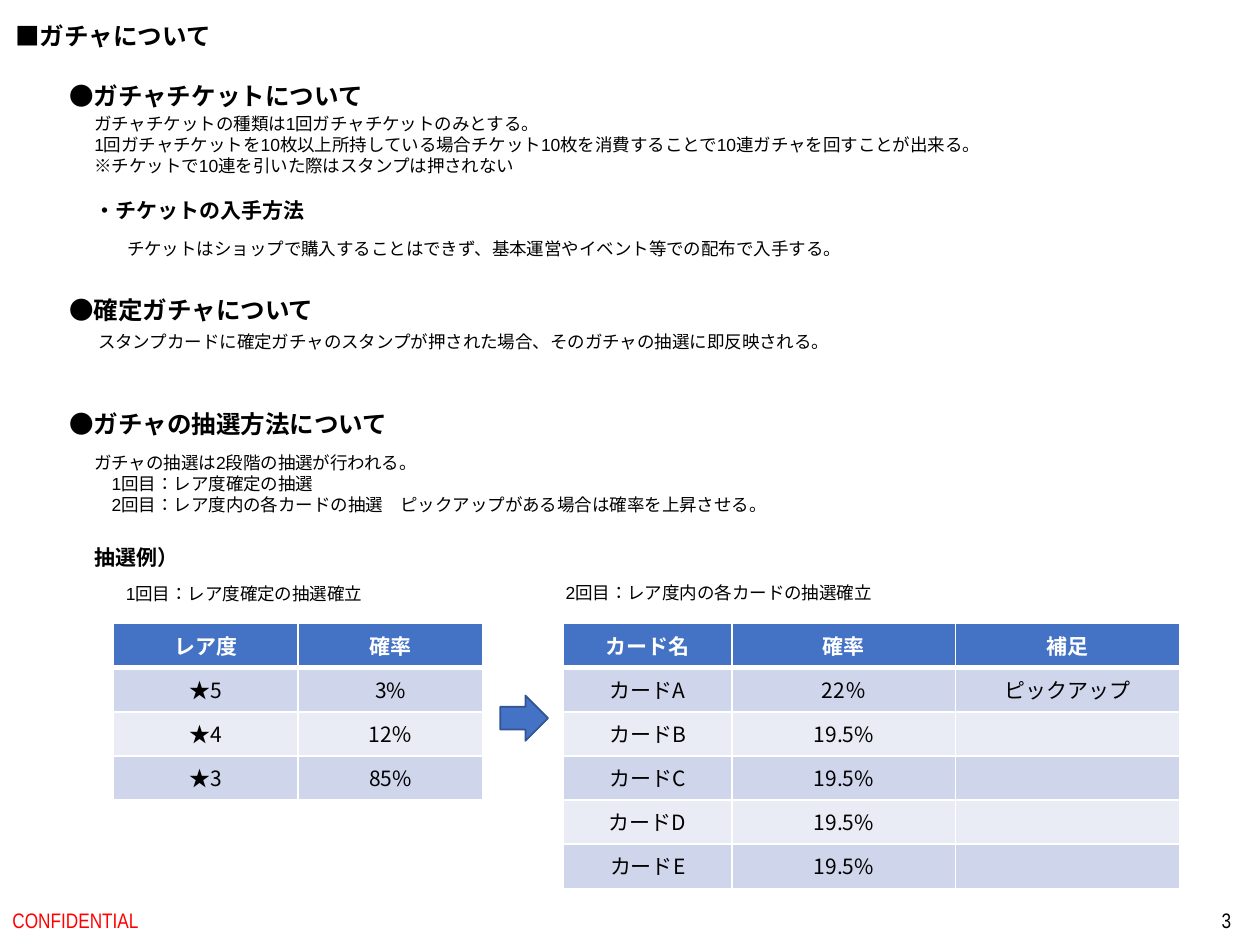
from lxml import etree
from pptx import Presentation
from pptx.dml.color import RGBColor
from pptx.enum.lang import MSO_LANGUAGE_ID
from pptx.enum.shapes import MSO_SHAPE
from pptx.enum.text import MSO_ANCHOR, MSO_AUTO_SIZE, PP_ALIGN
from pptx.oxml.ns import qn
from pptx.util import Pt

LEFT, CENTER, RIGHT = PP_ALIGN.LEFT, PP_ALIGN.CENTER, PP_ALIGN.RIGHT
TOP, MIDDLE = MSO_ANCHOR.TOP, MSO_ANCHOR.MIDDLE
FIT_SHAPE, NO_FIT = MSO_AUTO_SIZE.SHAPE_TO_FIT_TEXT, MSO_AUTO_SIZE.NONE
JAPANESE = MSO_LANGUAGE_ID.JAPANESE
RIGHT_ARROW = MSO_SHAPE.RIGHT_ARROW
TITLE_ONLY = 5

THEME = {
    "text": "000000", "white": "FFFFFF", "alert": "FF0000",
    "accent": "4472C4", "accent_line": "325491",
    "bands": ("CFD5EA", "E9EBF5"),
    "heading": 14, "subheading": 12, "body": 10, "cell": 12, "footer": 12,
    "font": "Arial", "footer_font": "Arial Narrow", "japanese_font": "Noto Sans CJK JP",
}

TITLE = ("■ガチャについて", (1.44, 8.64, 127.44, 24.48))

HEADINGS = [
    ("●ガチャチケットについて", (32.4, 42.48, 184.32, 24.48)),
    ("●確定ガチャについて", (32.4, 164.88, 156.24, 24.48)),
    ("●ガチャの抽選方法について", (32.4, 230.4, 198, 24.48)),
]

SUBHEADINGS = [
    ("・チケットの入手方法", (46.8, 109.44, 135.36, 21.6)),
    ("抽選例）", (46.8, 307.44, 63.36, 21.6)),
]

BODY_TEXTS = [
    ("ガチャチケットの種類は1回ガチャチケットのみとする。\n"
     "1回ガチャチケットを10枚以上所持している場合チケット10枚を消費することで10連ガチャを回すことが出来る。\n"
     "※チケットで10連を引いた際はスタンプは押されない", (46.8, 61.2, 533.52, 43.92)),
    ("チケットはショップで購入することはできず、基本運営やイベント等での配布で入手する。",
     (65.52, 132.48, 428.4, 19.44)),
    ("スタンプカードに確定ガチャのスタンプが押された場合、そのガチャの抽選に即反映される。",
     (48.96, 185.76, 438.48, 31.68)),
    ("ガチャの抽選は2段階の抽選が行われる。\n"
     "　1回目：レア度確定の抽選\n"
     "　2回目：レア度内の各カードの抽選　ピックアップがある場合は確率を上昇させる。",
     (46.8, 254.88, 404.64, 43.92)),
    ("1回目：レア度確定の抽選確立", (64.8, 329.76, 151.92, 19.44)),
    ("2回目：レア度内の各カードの抽選確立", (316.08, 329.04, 192.24, 19.44)),
]

FOOTERS = [
    ("CONFIDENTIAL", (0, 511.2, 243.36, 28.8), "alert", LEFT),
    ("3", (548.64, 511.2, 162, 28.8), "text", RIGHT),
]

TABLE_TOP, ROW_HEIGHT = 356.4, 25.2
TABLES = [
    (64.8, (105.6, 105.6), [
        ("レア度", "確率"),
        ("★5", "3%"),
        ("★4", "12％"),
        ("★3", "85%"),
    ]),
    (321.84, (96.5, 127.8, 127.8), [
        ("カード名", "確率", "補足"),
        ("カードA", "22％", "ピックアップ"),
        ("カードB", "19.5%", ""),
        ("カードC", "19.5%", ""),
        ("カードD", "19.5%", ""),
        ("カードE", "19.5%", ""),
    ]),
]

ARROW = (285.84, 397.44, 27.36, 25.92)


def color(value):
    return RGBColor.from_string(value)


def points(box):
    return [Pt(value) for value in box]


def write_text(frame, text, size, font=THEME["font"], fill=THEME["text"], bold=False, align=LEFT):
    for index, line in enumerate(text.split("\n")):
        paragraph = frame.paragraphs[0] if index == 0 else frame.add_paragraph()
        paragraph.alignment = align
        if not line:
            etree.SubElement(paragraph._p, qn("a:endParaRPr"), sz=str(size * 100))
            continue
        run = paragraph.add_run()
        run.text = line
        run.font.size = Pt(size)
        run.font.bold = bold
        run.font.color.rgb = color(fill)
        run.font.name = font
        run.font.language_id = JAPANESE
        latin = run.font._element.find(qn("a:latin"))
        east_asian = etree.Element(qn("a:ea"), typeface=THEME["japanese_font"])
        latin.addnext(east_asian)


def add_text(slide, text, box, size, anchor=TOP, wrap=False, **text_format):
    frame = slide.shapes.add_textbox(*points(box)).text_frame
    frame.word_wrap = wrap
    frame.auto_size = NO_FIT if wrap else FIT_SHAPE
    frame.vertical_anchor = anchor
    write_text(frame, text, size, **text_format)


def set_title(slide, text, box):
    title = slide.shapes.title
    title.left, title.top, title.width, title.height = points(box)
    frame = title.text_frame
    frame.word_wrap = False
    frame.auto_size = FIT_SHAPE
    frame.vertical_anchor = TOP
    write_text(frame, text, THEME["heading"], bold=True)


def set_borders(cell, row_index):
    widths = {
        "L": 1, "R": 1,
        "T": 3 if row_index == 1 else 1,
        "B": 3 if row_index == 0 else 1,
    }
    properties = cell._tc.get_or_add_tcPr()
    for side, width in widths.items():
        line = etree.SubElement(properties, qn(f"a:ln{side}"), w=str(Pt(width)))
        solid = etree.SubElement(line, qn("a:solidFill"))
        etree.SubElement(solid, qn("a:srgbClr"), val=THEME["white"])


def add_table(slide, left, widths, rows):
    box = (left, TABLE_TOP, sum(widths), ROW_HEIGHT * len(rows))
    table = slide.shapes.add_table(len(rows), len(widths), *points(box)).table
    for column, width in zip(table.columns, widths):
        column.width = Pt(width)
    for row_index, row in enumerate(rows):
        table.rows[row_index].height = Pt(ROW_HEIGHT)
        header = row_index == 0
        band = THEME["accent"] if header else THEME["bands"][(row_index - 1) % 2]
        for column_index, text in enumerate(row):
            cell = table.cell(row_index, column_index)
            set_borders(cell, row_index)
            cell.fill.solid()
            cell.fill.fore_color.rgb = color(band)
            write_text(cell.text_frame, text, THEME["cell"], font=THEME["japanese_font"],
                       fill=THEME["white" if header else "text"], bold=header, align=CENTER)


def add_arrow(slide, box):
    arrow = slide.shapes.add_shape(RIGHT_ARROW, *points(box))
    arrow.shadow.inherit = False
    arrow.fill.solid()
    arrow.fill.fore_color.rgb = color(THEME["accent"])
    arrow.line.color.rgb = color(THEME["accent_line"])
    arrow.line.width = Pt(1)


def main():
    presentation = Presentation()
    presentation.slide_width, presentation.slide_height = Pt(720), Pt(540)
    slide = presentation.slides.add_slide(presentation.slide_layouts[TITLE_ONLY])
    set_title(slide, *TITLE)
    for text, box in HEADINGS:
        add_text(slide, text, box, THEME["heading"], bold=True)
    for text, box in SUBHEADINGS:
        add_text(slide, text, box, THEME["subheading"], bold=True)
    for text, box in BODY_TEXTS:
        add_text(slide, text, box, THEME["body"])
    for left, widths, rows in TABLES:
        add_table(slide, left, widths, rows)
    add_arrow(slide, ARROW)
    for text, box, fill, align in FOOTERS:
        add_text(slide, text, box, THEME["footer"], anchor=MIDDLE, wrap=True,
                 font=THEME["footer_font"], fill=THEME[fill], align=align)
    presentation.save("out.pptx")


if __name__ == "__main__":
    main()
